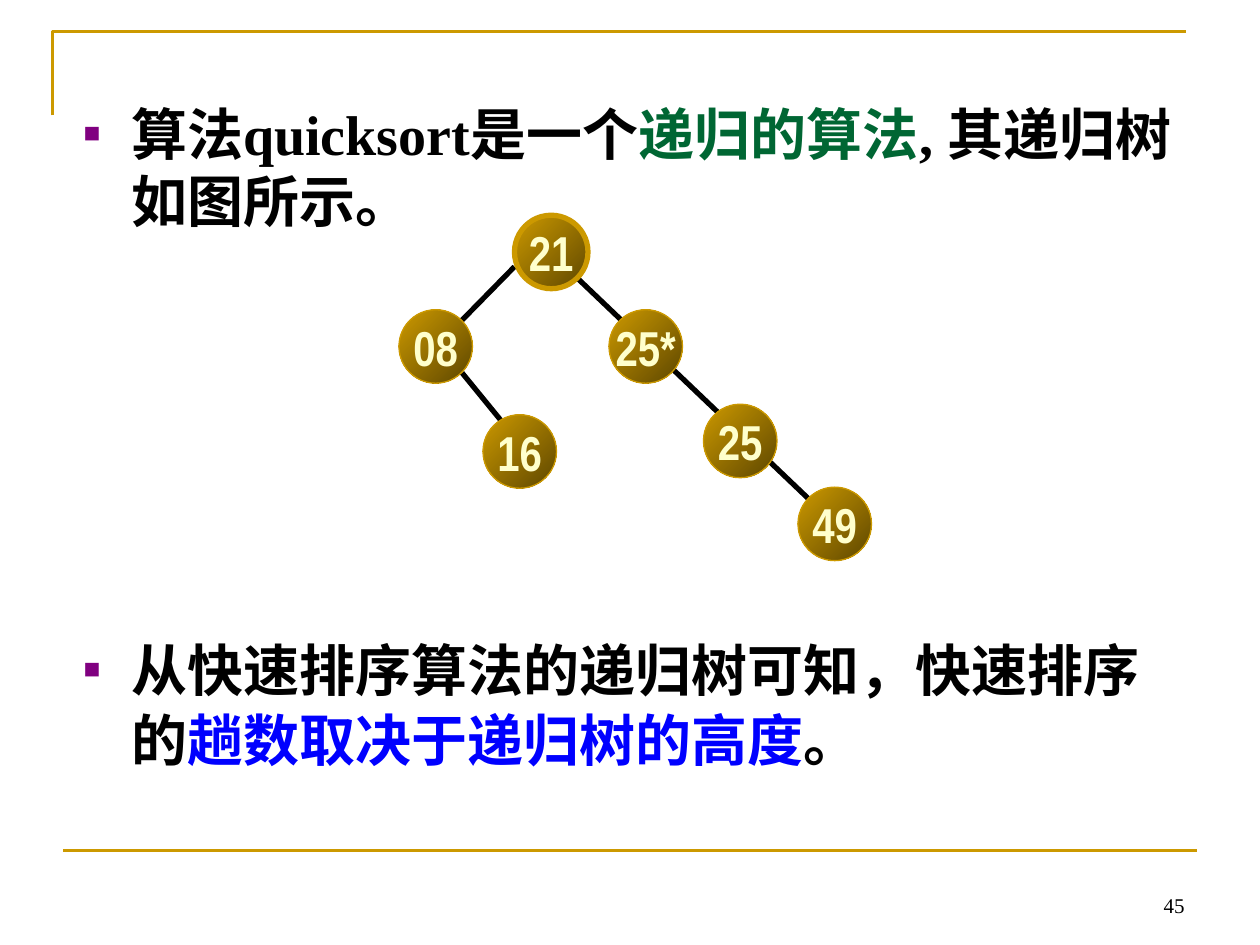
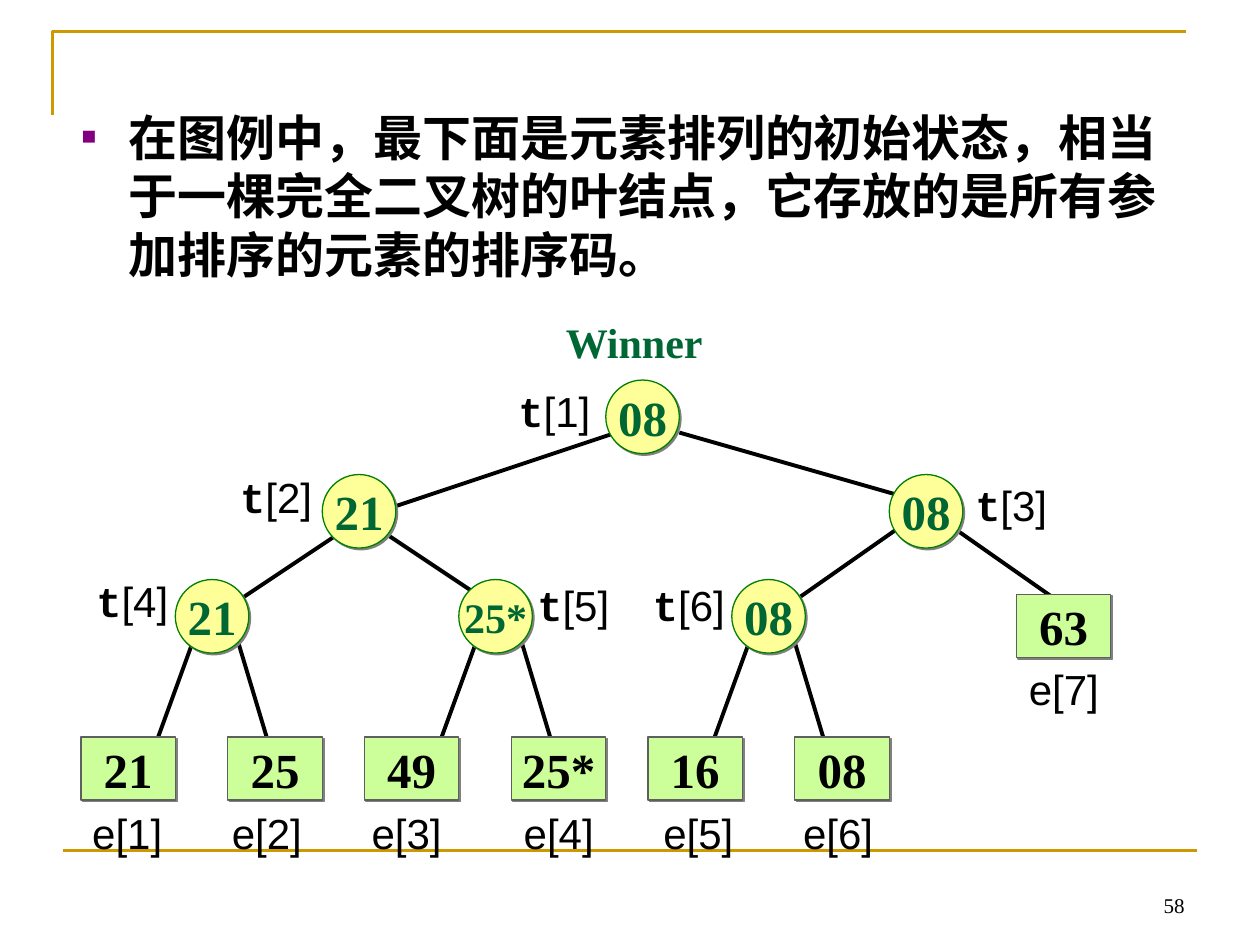
import lxml.etree
import pptx
import pptx.dml.color
import pptx.enum.dml
import pptx.enum.shapes
import pptx.enum.text
import pptx.oxml
import pptx.oxml.ns
import pptx.util

PX = 7620  # EMU in one px, 120 px to the inch
GOLD, DARK_GOLD, BLACK, GREEN = "CC9900", "5E4700", "000000", "006633"
color = pptx.dml.color.RGBColor.from_string
ALIGN = pptx.enum.text.PP_ALIGN
ANCHOR = pptx.enum.text.MSO_ANCHOR
SHAPE = pptx.enum.shapes.MSO_SHAPE
STRAIGHT = pptx.enum.shapes.MSO_CONNECTOR.STRAIGHT
NAMESPACE = 'xmlns:a="http://schemas.openxmlformats.org/drawingml/2006/main"'
BULLET = (
    '<a:buClr {0}><a:srgbClr val="800080"/></a:buClr>',
    '<a:buSzPct {0} val="50000"/>',
    '<a:buFont {0} typeface="Arial"/>',
    '<a:buChar {0} char="■"/>',
)
SHADOW = (
    '<a:outerShdw {0} blurRad="0" dist="17961" dir="2700000" algn="ctr" rotWithShape="0">'
    '<a:srgbClr val="808080"/></a:outerShdw>'
)


def font(name, size, hex_color=BLACK, bold=False):
    return {"name": name, "size": pptx.util.Pt(size), "bold": bold, "color": hex_color}


def write(shape, runs, frame_format, paragraph_format, bullet=False):
    """Fill the one paragraph of a shape with (text, font values) runs."""
    frame = shape.text_frame
    for name, value in frame_format.items():
        setattr(frame, name, value)
    paragraph = frame.paragraphs[0]
    for name, value in paragraph_format.items():
        setattr(paragraph, name, value)
    if bullet:
        properties = paragraph._p.get_or_add_pPr()
        properties.set("marL", str(45 * PX))
        properties.set("indent", str(-45 * PX))
        for element in BULLET:
            properties.append(pptx.oxml.parse_xml(element.format(NAMESPACE)))
    for text, values in runs:
        run = paragraph.add_run()
        run.text = text
        for name, value in values.items():
            if name == "color":
                run.font.color.rgb = color(value)
            else:
                setattr(run.font, name, value)


WRAPPED = {"word_wrap": True}
UNWRAPPED = {"word_wrap": False}
CENTERED = {"word_wrap": False, "vertical_anchor": ANCHOR.MIDDLE}
BOTTOM = {"word_wrap": True, "vertical_anchor": ANCHOR.BOTTOM}

# Node styles: outline, width and height, fill, line colour, shadow, text font
GOLD_BALL = (SHAPE.OVAL, 70, 70, None, GOLD, False, font("Arial Narrow", 28, "FFFFCC", True))
WINNER = (SHAPE.OVAL, 70, 70, "FFFF99", "008000", True,
          font("Times New Roman", 28, GREEN, True))
SMALL_WINNER = WINNER[:-1] + (font("Times New Roman", 24, GREEN, True),)
LEAF = (SHAPE.RECTANGLE, 90, 60, "CCFF99", "5F5F5F", True,
        font("Times New Roman", 28, BLACK, True))

# Slide with the recursion tree of quicksort
serif = font("Times New Roman", 32, BLACK, True)
recursion_slide = {
    "number": "45",
    "bullets": [
        (68, 89, 1080, 150, 1.0, [
            ("算法quicksort是一个", serif),
            ("递归的算法", {**serif, "color": GREEN}),
            (", 其递归树如图所示。", serif),
        ]),
        (68, 596, 1080, 150, 1.05, [
            ("从快速排序算法的递归树可知，快速排序的", serif),
            ("趟数取决于递归树的高度", {**serif, "color": "0000FF"}),
            ("。", serif),
        ]),
    ],
    "edge_width": 3,
    "edges": [(440, 355, 480, 404), (550, 265, 770, 475), (490, 254, 440, 305)],
    "nodes": [
        ("21", 490, 205, GOLD_BALL, 3),
        ("08", 380, 295, GOLD_BALL, 0.75),
        ("25*", 580, 295, GOLD_BALL, 0.75),
        ("16", 460, 395, GOLD_BALL, 0.75),
        ("25", 670, 385, GOLD_BALL, 0.75),
        ("49", 760, 464, GOLD_BALL, 0.75),
    ],
    "labels": [],
}

# Slide with the winner tree
sans = font("Arial", 24)
mono = font("Courier New", 24, BLACK, True)
winner_edges = [
    (647, 412, 857, 472), (377, 482, 587, 412), (857, 502, 757, 572),
    (358, 502, 448, 562), (907, 502, 1007, 572), (317, 512, 227, 572),
]
for parent_left in (167, 437, 697):
    winner_edges.append((parent_left + 20, 602, parent_left - 20, 712))
    winner_edges.append((parent_left + 60, 612, parent_left + 90, 712))

winner_nodes = [
    ("08", 577, 362, WINNER, 0.75),
    ("21", 307, 452, WINNER, 0.75),
    ("08", 847, 452, WINNER, 0.75),
    ("21", 167, 552, WINNER, 0.75),
    ("25*", 437, 552, SMALL_WINNER, 0.75),
    ("08", 697, 552, WINNER, 0.75),
    ("63", 968, 566, LEAF, 0.75),
]
for index, key in enumerate(("21", "25", "49", "25*", "16", "08")):
    pair, side = divmod(index, 2)
    winner_nodes.append((key, 77 + 270 * pair + 140 * side, 702, LEAF, 0.75))

winner_labels = [(527, 296, 167, [("Winner", font("Times New Roman", 24, GREEN, True))])]
tree_places = [(482, 361), (217, 443), (917, 451), (80, 542), (500, 546), (610, 546)]
for index, (left, top) in enumerate(tree_places, start=1):
    winner_labels.append((left, top, 100, [("t", mono), (f"[{index}]", sans)]))
leaf_places = [(left, 763) for left in (76, 209, 342, 487, 620, 753)] + [(968, 626)]
for index, (left, top) in enumerate(leaf_places, start=1):
    winner_labels.append((left, top, 100, [(f"e[{index}]", sans)]))

winner_slide = {
    "number": "58",
    "bullets": [
        (66, 96, 1060, 200, 1.0, [
            ("在图例中，最下面是元素排列的初始状态，相当于一棵完全二叉树的叶结点，"
             "它存放的是所有参加排序的元素的排序码。", font("Arial", 28, BLACK, True)),
        ]),
    ],
    "edge_width": 2.25,
    "edges": winner_edges,
    "nodes": winner_nodes,
    "labels": winner_labels,
}

presentation = pptx.Presentation()
presentation.slide_width = 1200 * PX
presentation.slide_height = 900 * PX

for content in (recursion_slide, winner_slide):
    slide = presentation.slides.add_slide(presentation.slide_layouts[6])
    shapes = slide.shapes

    builder = shapes.build_freeform(50, 110, scale=PX)
    builder.add_line_segments([(50, 30), (1130, 30)], close=False)
    corner = builder.convert_to_shape()
    corner.shadow.inherit = False
    corner.fill.background()
    corner.line.color.rgb = color(GOLD)
    corner.line.width = pptx.util.Pt(1.5)

    lines = [((60, 810, 1140, 810), GOLD, 1.5)]
    lines += [(edge, BLACK, content["edge_width"]) for edge in content["edges"]]
    for ends, line_color, width in lines:
        line = shapes.add_connector(STRAIGHT, *(end * PX for end in ends))
        line.line.color.rgb = color(line_color)
        line.line.width = pptx.util.Pt(width)
        lxml.etree.SubElement(line._element.spPr, pptx.oxml.ns.qn("a:effectLst"))

    number = shapes.add_textbox(860 * PX, 820 * PX, 280 * PX, 60 * PX)
    write(number, [(content["number"], font("Times New Roman", 12))], BOTTOM,
          {"alignment": ALIGN.RIGHT})

    for left, top, width, height, spacing, runs in content["bullets"]:
        body = shapes.add_textbox(left * PX, top * PX, width * PX, height * PX)
        write(body, runs, WRAPPED, {"line_spacing": spacing}, bullet=True)

    for key, left, top, style, line_width in content["nodes"]:
        outline, width, height, fill, line_color, shadow, key_font = style
        node = shapes.add_shape(outline, left * PX, top * PX, width * PX, height * PX)
        node.shadow.inherit = False
        if fill:
            node.fill.solid()
            node.fill.fore_color.rgb = color(fill)
        else:
            node.fill.gradient()
            node.fill.gradient_angle = 315
            for stop, stop_color in zip(node.fill.gradient_stops, (GOLD, DARK_GOLD)):
                stop.color.rgb = color(stop_color)
        node.line.color.rgb = color(line_color)
        node.line.width = pptx.util.Pt(line_width)
        if shadow:
            effects = node._element.spPr.find(pptx.oxml.ns.qn("a:effectLst"))
            effects.append(pptx.oxml.parse_xml(SHADOW.format(NAMESPACE)))
        write(node, [(key, key_font)], CENTERED, {"alignment": ALIGN.CENTER})

    for left, top, width, runs in content["labels"]:
        label = shapes.add_textbox(left * PX, top * PX, width * PX, 60 * PX)
        write(label, runs, UNWRAPPED, {"alignment": ALIGN.LEFT})

presentation.save("out.pptx")
